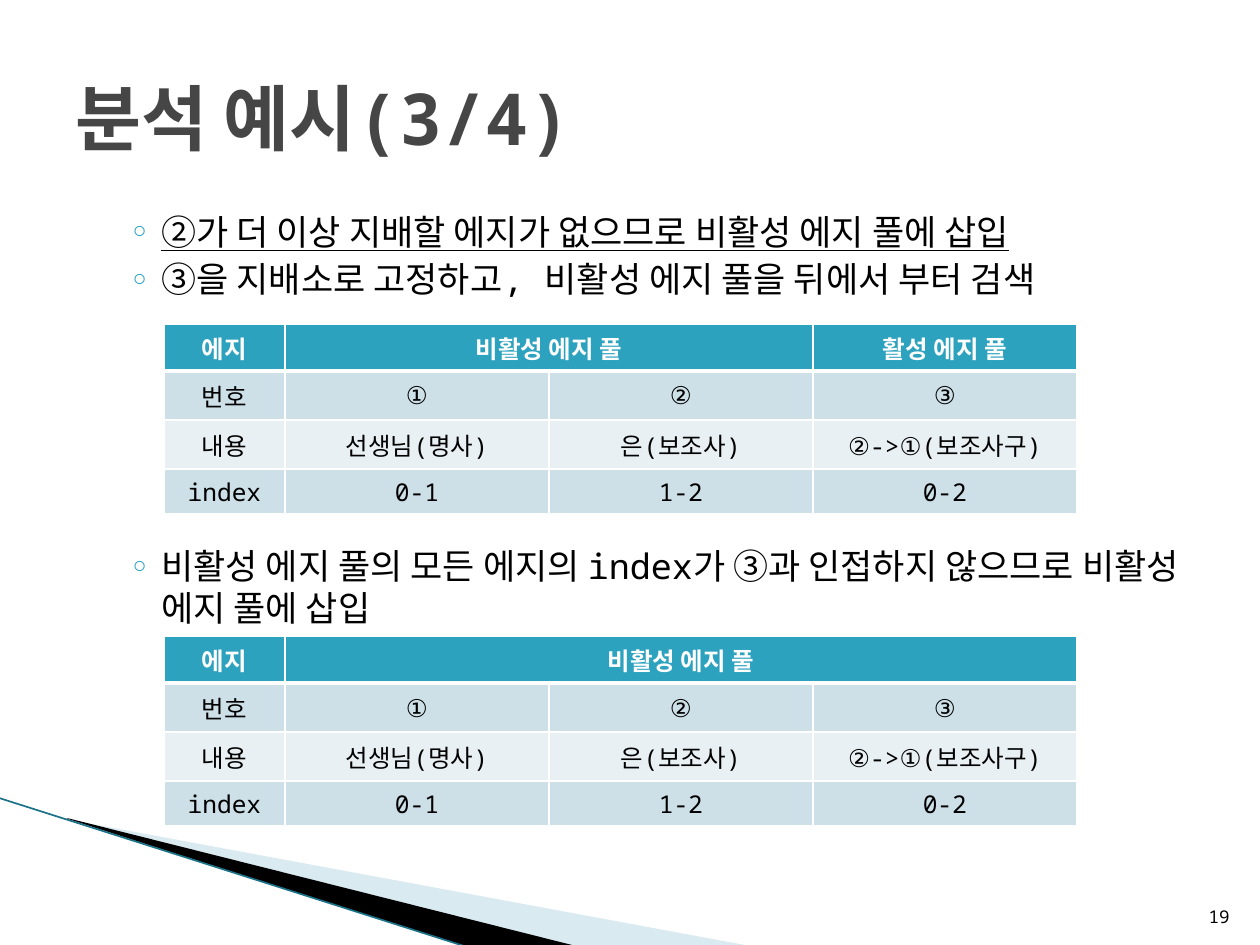
from dataclasses import dataclass

from lxml import etree
from pptx import Presentation
from pptx.dml.color import RGBColor
from pptx.enum.shapes import MSO_CONNECTOR
from pptx.enum.text import MSO_ANCHOR, MSO_AUTO_SIZE, PP_ALIGN
from pptx.oxml.ns import qn
from pptx.util import Emu, Pt

PX = 914400 // 126
LEFT, CENTER, RIGHT = PP_ALIGN.LEFT, PP_ALIGN.CENTER, PP_ALIGN.RIGHT
MIDDLE, BOTTOM = MSO_ANCHOR.MIDDLE, MSO_ANCHOR.BOTTOM
STRAIGHT = MSO_CONNECTOR.STRAIGHT
NO_AUTOFIT = MSO_AUTO_SIZE.NONE


@dataclass(frozen=True)
class Theme:
    font: str = "Noto Sans Mono"
    bullet_font: str = "Verdana"
    title: str = "464646"
    text: str = "000000"
    white: str = "FFFFFF"
    accent: str = "2DA2BF"
    bands: tuple = ("CDE0E8", "E8F0F4")
    wedge: str = "A0CBDC"
    edge: str = "1B7288"
    title_size: int = 41
    body_size: int = 20
    body_leading: int = 24
    table_size: int = 14
    number_size: int = 10


T = Theme()

BULLETS = [
    ("②가 더 이상 지배할 에지가 없으므로 비활성 에지 풀에 삽입", True, 3.2),
    ("③을 지배소로 고정하고, 비활성 에지 풀을 뒤에서 부터 검색", False, 3.2),
    ("비활성 에지 풀의 모든 에지의 index가 ③과 인접하지 않으므로 비활성 에지 풀에 삽입", False, 140),
]
EDGE_ROWS = [
    ("번호", "①", "②", "③"),
    ("내용", "선생님(명사)", "은(보조사)", "②->①(보조사구)"),
    ("index", "0-1", "1-2", "0-2"),
]
COLUMNS = (121, 264, 264, 264)
ROW_HEIGHTS = (47, 49, 49, 45)


def px(*values):
    return [Emu(v * PX) for v in values]


def rgb(color):
    return RGBColor.from_string(color)


def write(p, text, size, color=T.text, bold=False, underline=False, align=LEFT):
    p.alignment = align
    r = p.add_run()
    r.text = text
    f = r.font
    f.name, f.size, f.bold, f.underline = T.font, Pt(size), bold, underline
    f.color.rgb = rgb(color)


def add_bullet(p, indent, hang):
    pPr = p._p.get_or_add_pPr()
    pPr.set("marL", str(indent * PX))
    pPr.set("indent", str(-hang * PX))
    color = etree.SubElement(pPr, qn("a:buClr"))
    etree.SubElement(color, qn("a:srgbClr"), val=T.accent)
    etree.SubElement(pPr, qn("a:buFont"), typeface=T.bullet_font)
    etree.SubElement(pPr, qn("a:buChar"), char="◦")


def add_wedge(s, points, color, alpha=None):
    builder = s.shapes.build_freeform(*points[0], scale=PX)
    builder.add_line_segments(points[1:], close=True)
    sp = builder.convert_to_shape()
    sp.shadow.inherit = False
    sp.fill.solid()
    sp.fill.fore_color.rgb = rgb(color)
    sp.line.fill.background()
    if alpha:
        srgb = sp._element.spPr.find(qn("a:solidFill")).find(qn("a:srgbClr"))
        etree.SubElement(srgb, qn("a:alpha"), val=str(alpha * 1000))


def add_corner(s, x, y):
    """Draw the wedges that sweep down from the left edge of the slide."""
    light = [(70, 22), (750, 148), (575, 148), (70, 21)]
    dark = [(67, 20), (576, 148), (469, 150), (68, 21)]
    add_wedge(s, [(x + dx, y + dy) for dx, dy in light], T.wedge, alpha=40)
    add_wedge(s, [(x + dx, y + dy) for dx, dy in dark], T.text)
    line = s.shapes.add_connector(STRAIGHT, *px(x - 1, y, x + 467, y + 149))
    line.line.color.rgb = rgb(T.edge)
    line.line.width = Pt(0.95)
    etree.SubElement(line._element.spPr, qn("a:effectLst"))


def add_title(s, x, y, w, h, text):
    sp = s.shapes.title
    sp.left, sp.top, sp.width, sp.height = px(x, y, w, h)
    tf = sp.text_frame
    tf.auto_size, tf.vertical_anchor = NO_AUTOFIT, MIDDLE
    write(tf.paragraphs[0], text, T.title_size, T.title, bold=True)


def add_body(s, x, y, w, h):
    tf = s.shapes.add_textbox(*px(x, y, w, h)).text_frame
    tf.word_wrap = True
    for i, (text, underline, space) in enumerate(BULLETS):
        p = tf.add_paragraph() if i else tf.paragraphs[0]
        p.space_before, p.line_spacing = Pt(space), Pt(T.body_leading)
        add_bullet(p, indent=86, hang=32)
        write(p, text, T.body_size, underline=underline)


def set_borders(cell, **widths):
    tcPr = cell._tc.get_or_add_tcPr()
    for side in "LRTB":
        ln = etree.SubElement(tcPr, qn(f"a:ln{side}"), w=str(Pt(widths.get(side, 1))))
        fill = etree.SubElement(ln, qn("a:solidFill"))
        etree.SubElement(fill, qn("a:srgbClr"), val=T.white)


def add_edge_table(s, x, y, headers):
    """Draw the edge table; headers holds (text, column span) pairs."""
    heads = [t for text, span in headers for t in [text] + [""] * (span - 1)]
    rows = [heads] + EDGE_ROWS
    box = px(x, y, sum(COLUMNS), sum(ROW_HEIGHTS))
    table = s.shapes.add_table(len(rows), len(COLUMNS), *box).table
    for column, width in zip(table.columns, px(*COLUMNS)):
        column.width = width
    for row, height in zip(table.rows, px(*ROW_HEIGHTS)):
        row.height = height
    for i, row in enumerate(rows):
        color = T.bands[(i - 1) % 2] if i else T.accent
        for j, text in enumerate(row):
            cell = table.cell(i, j)
            cell.vertical_anchor = MIDDLE
            set_borders(cell, T=3 if i == 1 else 1, B=1 if i else 3)
            cell.fill.solid()
            cell.fill.fore_color.rgb = rgb(color)
            if text:
                write(cell.text_frame.paragraphs[0], text, T.table_size,
                      T.text if i else T.white, bold=i == 0, align=CENTER)
    start = 0
    for _, span in headers:
        if span > 1:
            table.cell(0, start).merge(table.cell(0, start + span - 1))
        start += span


def add_number(s, x, y, w, h, text):
    tf = s.shapes.add_textbox(*px(x, y, w, h)).text_frame
    tf.word_wrap, tf.vertical_anchor = True, BOTTOM
    write(tf.paragraphs[0], text, T.number_size, align=RIGHT)


def main():
    prs = Presentation()
    prs.slide_width, prs.slide_height = px(1260, 945)
    s = prs.slides.add_slide(prs.slide_layouts[5])
    add_corner(s, 0, 798)
    add_body(s, 63, 204, 1134, 624)
    add_title(s, 63, 38, 1134, 158, "분석 예시(3/4)")
    add_edge_table(s, 164, 324, [("에지", 1), ("비활성 에지 풀", 2), ("활성 에지 풀", 1)])
    add_edge_table(s, 164, 636, [("에지", 1), ("비활성 에지 풀", 3)])
    add_number(s, 1192, 883, 50, 50, "19")
    prs.save("out.pptx")


if __name__ == "__main__":
    main()
